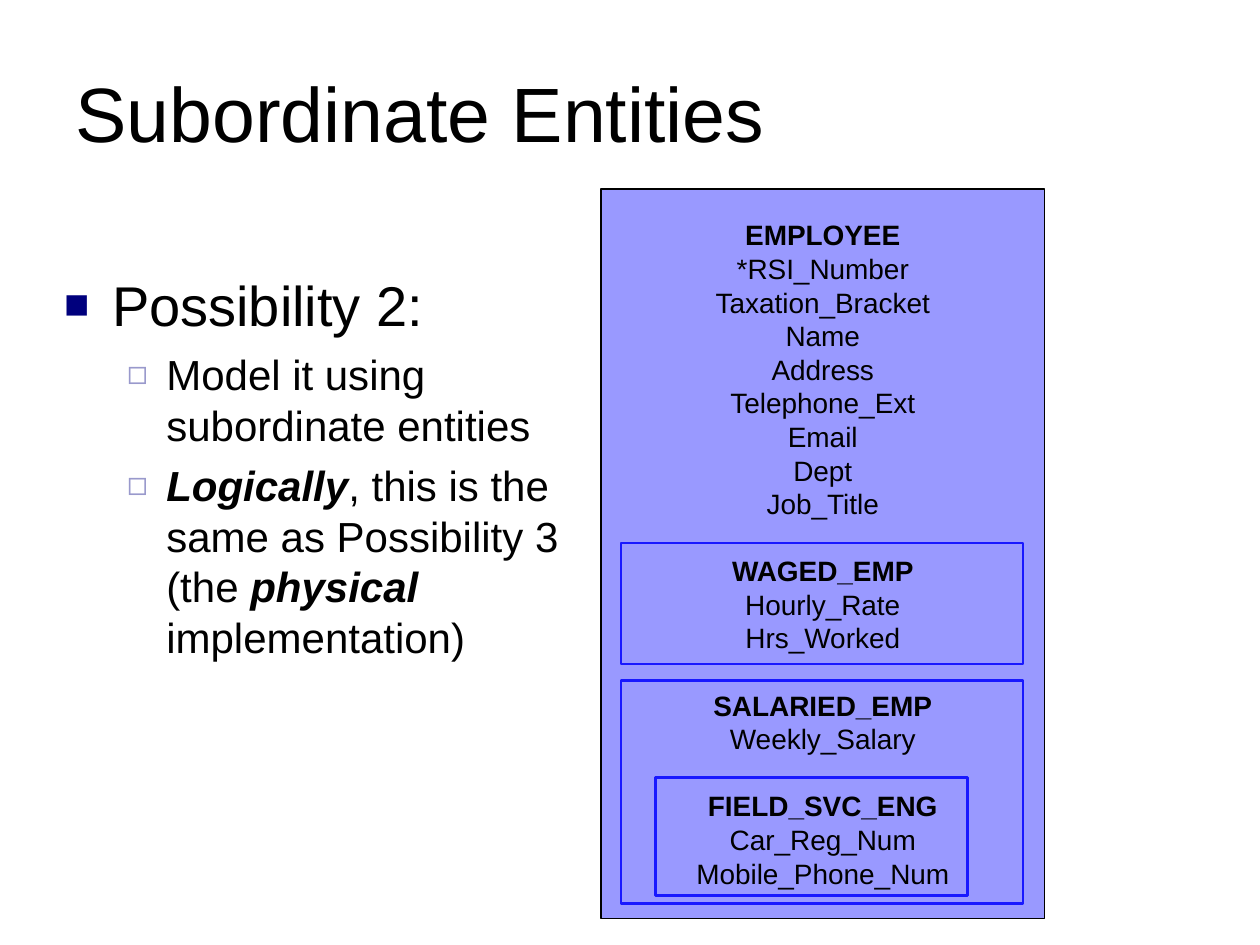
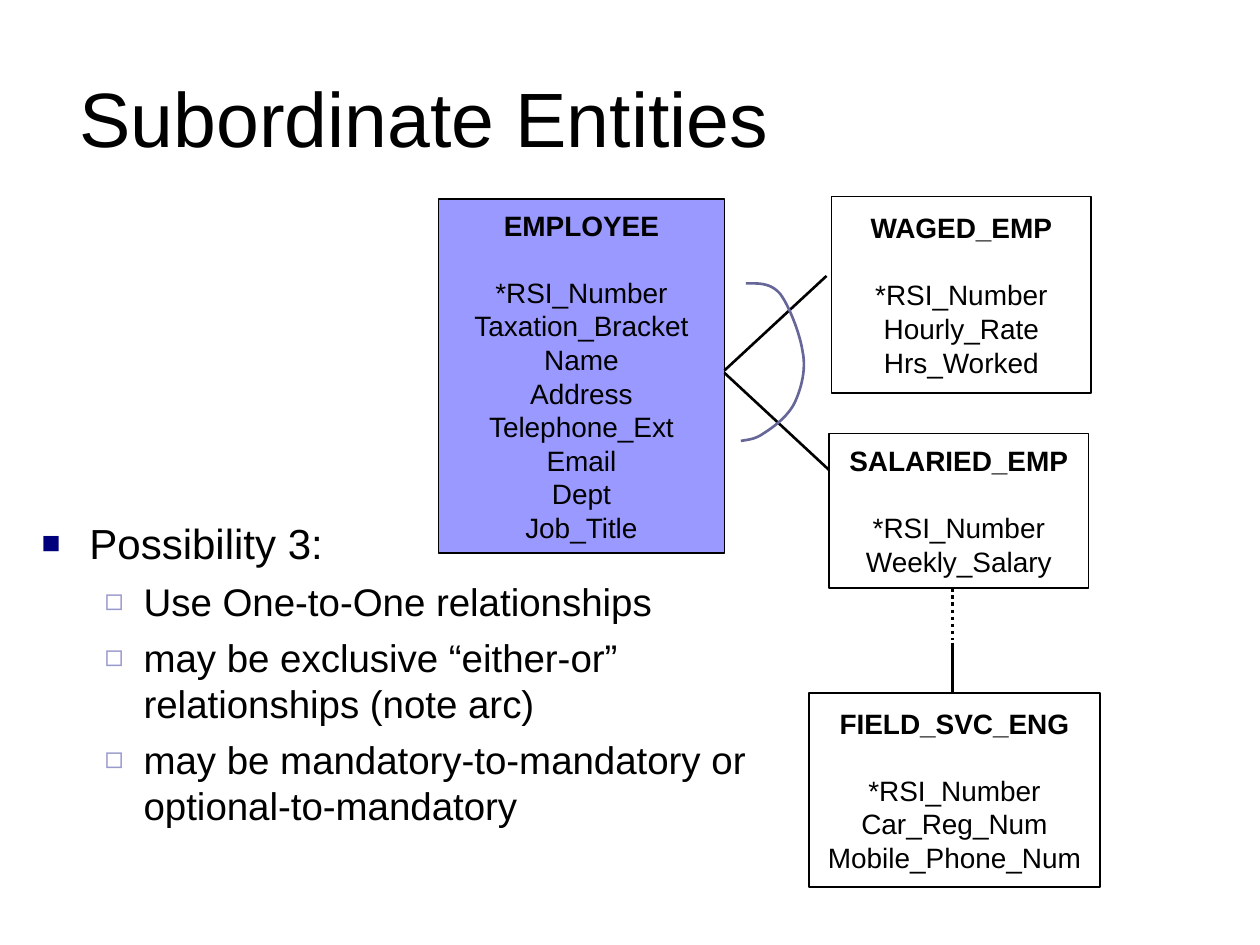
from lxml import etree
from pptx import Presentation
from pptx.dml.color import RGBColor
from pptx.enum.dml import MSO_LINE
from pptx.enum.shapes import MSO_CONNECTOR, MSO_SHAPE
from pptx.enum.text import MSO_ANCHOR, MSO_AUTO_SIZE, PP_ALIGN
from pptx.oxml.ns import qn
from pptx.util import Pt

PX = 9144  # 100 px to the inch
RECT = MSO_SHAPE.RECTANGLE
STRAIGHT = MSO_CONNECTOR.STRAIGHT
DOTS = MSO_LINE.ROUND_DOT
LEFT, CENTER = PP_ALIGN.LEFT, PP_ALIGN.CENTER
MIDDLE, TOP = MSO_ANCHOR.MIDDLE, MSO_ANCHOR.TOP
NO_FIT = MSO_AUTO_SIZE.NONE

FONT = "Arial"
GAP = 19.2  # one line of entity text, in points
COLORS = {
    "text": "000000",
    "entity": "9999FF",
    "frame": "1818FF",
    "arc": "666699",
    "bullet": "00007D",
    "box": "9999CC",
}
RGB = {name: RGBColor.from_string(value) for name, value in COLORS.items()}

# Per list level: bullet sign, colour, size in percent, left margin, hanging indent
LEVELS = [("■", "bullet", 75, 38, -38), ("◻", "box", 80, 81, -31)]

KEY = "*RSI_Number"
ENTITIES = {
    "EMPLOYEE": ["Taxation_Bracket", "Name", "Address", "Telephone_Ext",
                 "Email", "Dept", "Job_Title"],
    "WAGED_EMP": ["Hourly_Rate", "Hrs_Worked"],
    "SALARIED_EMP": ["Weekly_Salary"],
    "FIELD_SVC_ENG": ["Car_Reg_Num", "Mobile_Phone_Num"],
}

# Each list line: level, size, space before, runs of (text, strong)
SLIDES = [
    {
        "title": (50, 14, 900, 150),
        "body": (41, 210, 453, 328),
        "list": [
            (0, 32, 8, [("Possibility 2:", False)]),
            (1, 24, 6, [("Model it using subordinate entities", False)]),
            (1, 24, 6, [("Logically", True),
                        (", this is the same as Possibility 3 (the ", False),
                        ("physical", True), (" implementation)", False)]),
        ],
    },
    {
        "title": (53, 18, 900, 150),
        "body": (23, 406, 595, 292),
        "list": [
            (0, 24, 6, [("Possibility 3:", False)]),
            (1, 22, 5.5, [("Use One-to-One relationships", False)]),
            (1, 22, 5.5, [("may be exclusive “either-or” relationships (note arc)", False)]),
            (1, 22, 5.5, [("may be mandatory-to-mandatory or optional-to-mandatory", False)]),
        ],
    },
]


def add_para(frame, first, runs, size, align, before=0):
    para = frame.paragraphs[0] if first else frame.add_paragraph()
    look = {"alignment": align, "space_before": Pt(before), "line_spacing": 1.0}
    for name, value in look.items():
        setattr(para, name, value)
    for text, bold, italic in runs:
        run = para.add_run()
        run.text = text
        style = {"name": FONT, "size": Pt(size), "bold": bold, "italic": italic}
        for name, value in style.items():
            setattr(run.font, name, value)
        run.font.color.rgb = RGB["text"]
    return para


def add_box(slide, place, lines=(), fill=None, line="text", width=1):
    """Add a rectangle; each of its lines is (text, bold, space before)."""
    box = slide.shapes.add_shape(RECT, *[n * PX for n in place])
    box.shadow.inherit = False
    if fill:
        box.fill.solid()
        box.fill.fore_color.rgb = RGB[fill]
    else:
        box.fill.background()
    box.line.color.rgb = RGB[line]
    box.line.width = Pt(width)
    frame = box.text_frame
    frame.word_wrap = False
    frame.vertical_anchor = MIDDLE
    for i, (text, bold, before) in enumerate(lines):
        add_para(frame, i == 0, [(text, bold, False)], 16, CENTER, before)


deck = Presentation()
deck.slide_width, deck.slide_height = 1000 * PX, 750 * PX

# Titles and lists
for page in SLIDES:
    slide = deck.slides.add_slide(deck.slide_layouts[1])
    title, body = slide.shapes.title, slide.placeholders[1]
    for shape, place, anchor in ((title, page["title"], MIDDLE), (body, page["body"], TOP)):
        for side, n in zip(("left", "top", "width", "height"), place):
            setattr(shape, side, n * PX)
        frame = shape.text_frame
        frame.word_wrap = True
        frame.auto_size = NO_FIT
        frame.vertical_anchor = anchor
    add_para(title.text_frame, True, [("Subordinate Entities", False, False)], 44, LEFT)
    for i, (level, size, before, runs) in enumerate(page["list"]):
        runs = [(text, strong, strong) for text, strong in runs]
        para = add_para(body.text_frame, i == 0, runs, size, LEFT, before)
        para.level = level
        sign, color, scale, margin, indent = LEVELS[level]
        props = para._p.get_or_add_pPr()
        props.set("marL", str(margin * PX))
        props.set("indent", str(indent * PX))
        tint = etree.SubElement(props, qn("a:buClr"))
        etree.SubElement(tint, qn("a:srgbClr"), val=COLORS[color])
        etree.SubElement(props, qn("a:buSzPct"), val=str(scale * 1000))
        etree.SubElement(props, qn("a:buFont"), typeface=FONT)
        etree.SubElement(props, qn("a:buChar"), char=sign)

nested, linked = deck.slides

# Subordinate entities nested in one box
lines = []
for name, fields in ENTITIES.items():
    lines.append((name, True, GAP if lines else 0))
    if name == "EMPLOYEE":
        lines.append((KEY, False, 0))
    lines += [(field, False, 0) for field in fields]
add_box(nested, (477, 150, 352, 579), lines, fill="entity")
for place in ((493, 431, 319, 96), (493, 540, 319, 177), (520, 617, 248, 94)):
    add_box(nested, place, line="frame", width=1.5)

# One box per entity, joined one to one
PLACES = {
    "EMPLOYEE": (348, 158, 227, 281),
    "WAGED_EMP": (660, 156, 206, 156),
    "SALARIED_EMP": (658, 344, 206, 123),
    "FIELD_SVC_ENG": (642, 550, 231, 154),
}
for name, place in PLACES.items():
    lines = [(name, True, 0), (KEY, False, GAP)]
    lines += [(field, False, 0) for field in ENTITIES[name]]
    add_box(linked, place, lines, fill="entity" if name == "EMPLOYEE" else None)

LINKS = [
    ((575, 294, 656, 219), 1.5, None),
    ((575, 296, 658, 373), 1.5, None),
    ((756, 467, 756, 508), 2, DOTS),
    ((756, 510, 756, 550), 2, None),
]
for ends, width, dash in LINKS:
    link = linked.shapes.add_connector(STRAIGHT, *[n * PX for n in ends])
    link.line.color.rgb = RGB["text"]
    link.line.width = Pt(width)
    if dash:
        link.line.dash_style = dash
    etree.SubElement(link._element.spPr, qn("a:effectLst"))

# Either-or arc: cubic curves, each given by two handles and an end point
START = (592, 225)
CURVES = [
    ((601, 225), (611, 224), (619, 233)),
    ((626, 242), (635, 265), (637, 279)),
    ((640, 293), (636, 308), (631, 319)),
    ((626, 330), (614, 339), (606, 344)),
    ((599, 349), (593, 349), (588, 350)),
]
STEPS = 12
points, here = [], START
for curve in CURVES:
    for step in range(1, STEPS + 1):
        t = step / STEPS
        u = 1 - t
        points.append([
            (u**3 * a + 3 * u * u * t * b + 3 * u * t * t * c + t**3 * d) * PX
            for a, b, c, d in zip(here, *curve)
        ])
    here = curve[-1]
pen = linked.shapes.build_freeform(START[0] * PX, START[1] * PX)
pen.add_line_segments(points, close=False)
arc = pen.convert_to_shape()
arc.shadow.inherit = False
arc.fill.background()
arc.line.color.rgb = RGB["arc"]
arc.line.width = Pt(1.5)

deck.save("out.pptx")
